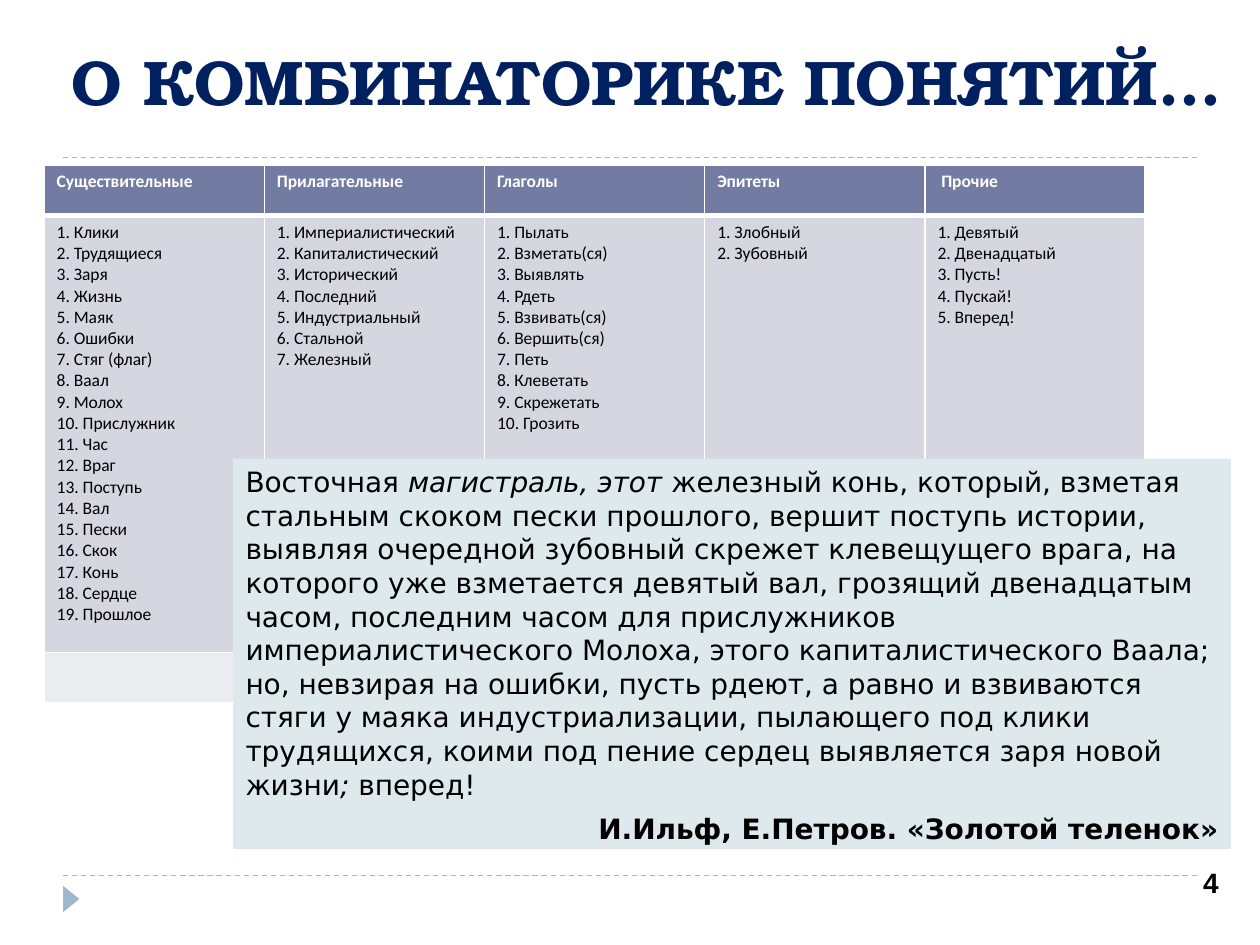
from lxml import etree
from pptx import Presentation
from pptx.dml.color import RGBColor
from pptx.enum.dml import MSO_LINE
from pptx.enum.shapes import MSO_CONNECTOR, MSO_SHAPE
from pptx.enum.text import MSO_ANCHOR, PP_ALIGN
from pptx.oxml.ns import qn
from pptx.util import Inches, Pt

rgb = RGBColor.from_string


def write(paragraph, text, size=16, font="DejaVu Sans", color="000000",
          bold=False, italic=False):
    run = paragraph.add_run()
    run.text = text
    run.font.size = Pt(size)
    run.font.name = font
    run.font.color.rgb = rgb(color)
    run.font.bold = bold
    run.font.italic = italic


def style_cell(cell, color, bottom):
    props = cell._tc.get_or_add_tcPr()
    for side, points in (("L", 1), ("R", 1), ("T", 1), ("B", bottom)):
        edge = etree.SubElement(props, qn(f"a:ln{side}"), w=str(Pt(points)))
        solid = etree.SubElement(edge, qn("a:solidFill"))
        etree.SubElement(solid, qn("a:srgbClr"), val="FFFFFF")
    cell.fill.solid()
    cell.fill.fore_color.rgb = rgb(color)


prs = Presentation()
prs.slide_width, prs.slide_height = Inches(10), Inches(7.5)
slide = prs.slides.add_slide(prs.slide_layouts[6])
shapes = slide.shapes

# Dashed rules and corner marker
for y in (6.95, 1.25):
    rule = shapes.add_connector(MSO_CONNECTOR.STRAIGHT, Inches(0.5), Inches(y),
                                Inches(9.5), Inches(y))
    rule.line.color.rgb = rgb("9FB8CD")
    rule.line.width = Pt(0.75)
    rule.line.dash_style = MSO_LINE.DASH
    etree.SubElement(rule._element.spPr, qn("a:effectLst"))

marker = shapes.add_shape(MSO_SHAPE.ISOSCELES_TRIANGLE, Inches(0.46), Inches(7.07),
                          Inches(0.21), Inches(0.13))
marker.rotation = 90
marker.shadow.inherit = False
marker.fill.solid()
marker.fill.fore_color.rgb = rgb("9FB8CD")
marker.line.fill.background()

# Title
title = shapes.add_textbox(Inches(0.47), Inches(0.44), Inches(9.5), Inches(0.55)).text_frame
title.word_wrap = True
title.vertical_anchor = MSO_ANCHOR.BOTTOM
write(title.paragraphs[0], "О КОМБИНАТОРИКЕ ПОНЯТИЙ…", size=36,
      font="TeX Gyre Bonum", color="002060", bold=True)

# Page number
page = shapes.add_textbox(Inches(7.44), Inches(6.82), Inches(2.33), Inches(0.4)).text_frame
page.word_wrap = True
page.paragraphs[0].alignment = PP_ALIGN.RIGHT
write(page.paragraphs[0], "4", font="Arial", bold=True)

# Vocabulary table
vocabulary = {
    "Существительные": [
        "Клики", "Трудящиеся", "Заря", "Жизнь", "Маяк", "Ошибки", "Стяг (флаг)",
        "Ваал", "Молох", "Прислужник", "Час", "Враг", "Поступь", "Вал", "Пески",
        "Скок", "Конь", "Сердце", "Прошлое"],
    "Прилагательные": [
        "Империалистический", "Капиталистический", "Исторический", "Последний",
        "Индустриальный", "Стальной", "Железный"],
    "Глаголы": [
        "Пылать", "Взметать(ся)", "Выявлять", "Рдеть", "Взвивать(ся)",
        "Вершить(ся)", "Петь", "Клеветать", "Скрежетать", "Грозить"],
    "Эпитеты": ["Злобный", "Зубовный"],
    "Прочие": ["Девятый", "Двенадцатый", "Пусть!", "Пускай!", "Вперед!"],
}
row_styles = [(0.4, "727CA3", 3), (3.47, "D5D7E0", 1), (0.4, "EBECF0", 1)]
table = shapes.add_table(len(row_styles), len(vocabulary), Inches(0.35), Inches(1.31),
                         Inches(8.74), Inches(4.27)).table
table.first_row = table.horz_banding = False

for row, (height, color, bottom) in zip(table.rows, row_styles):
    row.height = Inches(height)
    for cell in row.cells:
        style_cell(cell, color, bottom)

for col, (heading, words) in enumerate(vocabulary.items()):
    write(table.cell(0, col).text_frame.paragraphs[0], heading, size=10,
          font="Calibri", color="FFFFFF", bold=True)
    word_list = table.cell(1, col).text_frame
    for number, word in enumerate(words, 1):
        line = word_list.paragraphs[0] if number == 1 else word_list.add_paragraph()
        write(line, f"{number}. {word}", size=10, font="Calibri")
table.cell(0, len(vocabulary) - 1).margin_left = Inches(0.13)

# Quotation panel
panel = shapes.add_textbox(Inches(1.85), Inches(3.64), Inches(7.92), Inches(3.1))
panel.fill.solid()
panel.fill.fore_color.rgb = rgb("DDE9EC")
quote = panel.text_frame
quote.word_wrap = True
passage = quote.paragraphs[0]
write(passage, "Восточная ")
write(passage, "магистраль, этот", italic=True)
write(passage, " железный конь, который, взметая стальным скоком пески прошлого, "
      "вершит поступь истории, выявляя очередной зубовный скрежет клевещущего врага, "
      "на которого уже взметается девятый вал, грозящий двенадцатым часом, последним "
      "часом для прислужников империалистического Молоха, этого капиталистического "
      "Ваала; но, невзирая на ошибки, пусть рдеют, а равно и взвиваются стяги у маяка "
      "индустриализации, пылающего под клики трудящихся, коими под пение сердец "
      "выявляется заря новой жизни")
write(passage, ";", italic=True)
write(passage, " вперед!")

authors = quote.add_paragraph()
authors.alignment = PP_ALIGN.RIGHT
authors.space_before = Pt(6)
write(authors, "И.Ильф, Е.Петров. «Золотой теленок»", bold=True)

prs.save("out.pptx")
